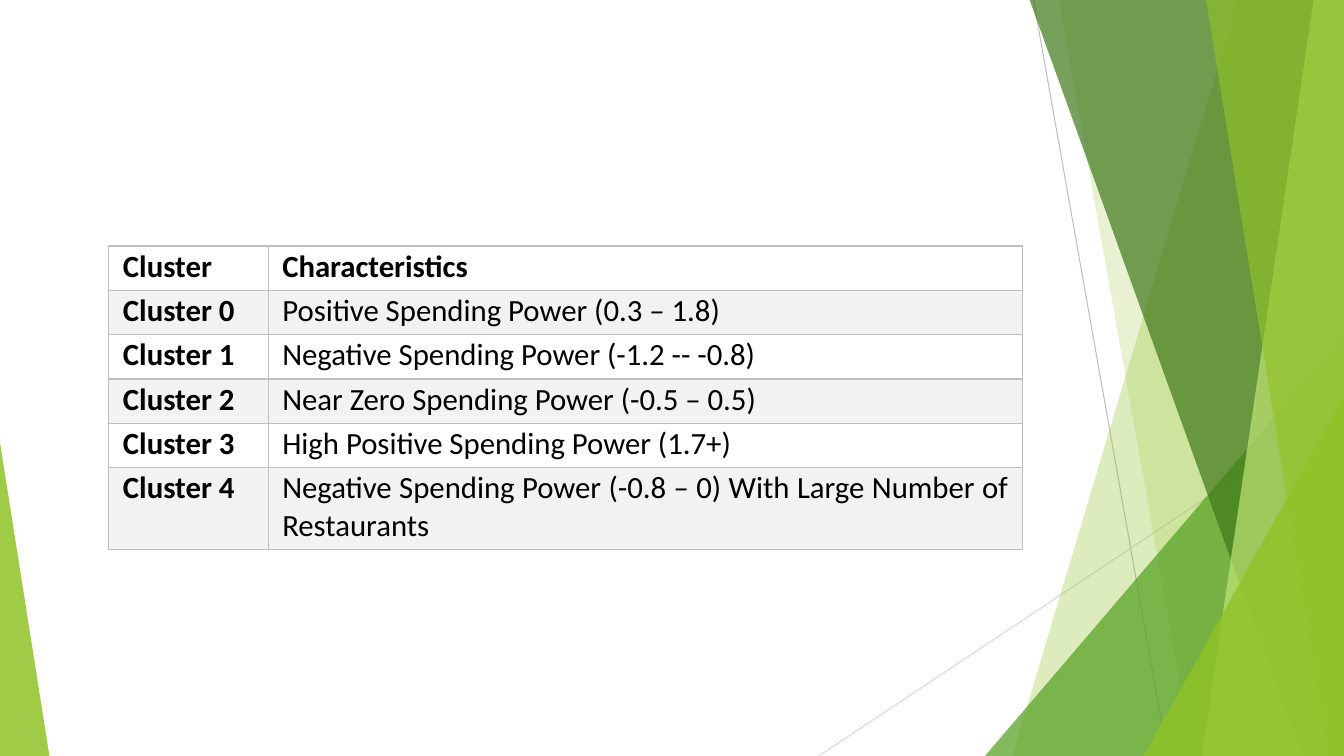
from lxml import etree
from pptx import Presentation, util as u
from pptx.dml.color import RGBColor
from pptx.enum import shapes, text
from pptx.oxml import ns

WIDTH, HEIGHT = u.Inches(13.33), u.Inches(7.5)
GREEN, GRAY, PALE_GRAY, WHITE = "90C226", "BFBFBF", "F2F2F2", "FFFFFF"
ROWS = [
    ("Cluster", "Characteristics"),
    ("Cluster 0", "Positive Spending Power (0.3 – 1.8)"),
    ("Cluster 1", "Negative Spending Power (-1.2 -- -0.8)"),
    ("Cluster 2", "Near Zero Spending Power (-0.5 – 0.5)"),
    ("Cluster 3", "High Positive Spending Power (1.7+)"),
    ("Cluster 4", "Negative Spending Power (-0.8 – 0) With Large Number of Restaurants"),
]
# Positions are percentages of the box that holds the decoration.
LINES = [((76.9, 0), (86.87, 100), GRAY), ((100, 53.73), (60.92, 100), "D9D9D9")]
# Kind, numbers, colour, opacity. A band has its left edge's top and bottom x;
# a triangle has its left, top, width and apex position.
FACETS = [
    ("band", (92.12, 75.32), GREEN, 30),
    ("band", (78.77, 88.75), GREEN, 20),
    ("triangle", (73.29, 44.4, 26.71, 1), "54A021", 72),
    ("band", (76.59, 96.85), "3F7819", 70),
    ("band", (97.75, 89.42), "C0E474", 70),
    ("band", (89.72, 98.87), GREEN, 65),
    ("triangle", (85.07, 52.4, 14.93, 1), GREEN, 80),
    ("triangle", (0, 58.53, 3.68, 0), GREEN, 85),
]


def color(hex_value):
    return RGBColor.from_string(hex_value)


def set_all(target, values):
    for name, value in values.items():
        setattr(target, name, value)


def place(box, x, y):
    """Turn percentages of a box into a point on the slide."""
    left, top, width, height = box
    return round(left + width * x / 100), round(top + height * y / 100)


def add_line(slide, box, start, end, hex_value):
    line = slide.shapes.add_connector(
        shapes.MSO_CONNECTOR.STRAIGHT, *place(box, *start), *place(box, *end))
    line.line.color.rgb = color(hex_value)
    line.line.width = u.Pt(0.75)
    etree.SubElement(line._element.spPr, ns.qn("a:effectLst"))


def add_band(slide, box, top_x, bottom_x):
    builder = slide.shapes.build_freeform(*place(box, top_x, -0.13))
    corners = [(100, -0.13), (100, 100), (bottom_x, 100)]
    builder.add_line_segments([place(box, *corner) for corner in corners])
    return builder.convert_to_shape()


def add_triangle(slide, box, left, top, width, apex):
    x, y = place(box, left, top)
    right, bottom = place(box, left + width, 100)
    shape = slide.shapes.add_shape(
        shapes.MSO_SHAPE.ISOSCELES_TRIANGLE, x, y, right - x, bottom - y)
    shape.adjustments[0] = apex
    return shape


def fill_facet(shape, hex_value, opacity):
    shape.shadow.inherit = False
    shape.line.fill.background()
    shape.fill.solid()
    shape.fill.fore_color.rgb = color(hex_value)
    tone = shape._element.spPr.find(".//" + ns.qn("a:srgbClr"))
    etree.SubElement(tone, ns.qn("a:alpha"), val=str(opacity * 1000))


def add_decoration(slide, box):
    makers = {"band": add_band, "triangle": add_triangle}
    for start, end, hex_value in LINES:
        add_line(slide, box, start, end, hex_value)
    for kind, numbers, hex_value, opacity in FACETS:
        fill_facet(makers[kind](slide, box, *numbers), hex_value, opacity)


def add_borders(cell):
    properties = cell._tc.get_or_add_tcPr()
    for position, side in enumerate(("lnL", "lnR", "lnT", "lnB")):
        border = etree.Element(ns.qn("a:" + side), w=str(u.Pt(1)))
        fill = etree.SubElement(border, ns.qn("a:solidFill"))
        etree.SubElement(fill, ns.qn("a:srgbClr"), val=GRAY)
        properties.insert(position, border)


def fill_cell(cell, words, bold, background):
    set_all(cell, {"text": words, "margin_left": u.Inches(0.14), "margin_right": u.Inches(0.14),
                   "margin_top": u.Inches(0.02), "margin_bottom": 0})
    cell.fill.solid()
    cell.fill.fore_color.rgb = color(background)
    paragraph = cell.text_frame.paragraphs[0]
    paragraph.alignment = text.PP_ALIGN.JUSTIFY
    font = paragraph.runs[0].font
    set_all(font, {"name": "Calibri", "size": u.Pt(22), "bold": bold})
    font.color.rgb = color("000000")
    add_borders(cell)


def add_cluster_table(slide, box):
    width, height = box[2:]
    table = slide.shapes.add_table(len(ROWS), 2, *box).table
    set_all(table, {"first_row": False, "horz_banding": False})
    for column, share in zip(table.columns, (0.17, 0.83)):
        column.width = round(width * share)
    table.columns[0].width = round(width * 0.1744)
    table.columns[1].width = width - table.columns[0].width
    row_shares = [1] * (len(ROWS) - 1) + [1.84]
    for row, share in zip(table.rows, row_shares):
        row.height = round(height * share / sum(row_shares))
    for i, row in enumerate(ROWS):
        for j, words in enumerate(row):
            fill_cell(table.cell(i, j), words, i == 0 or j == 0, PALE_GRAY if i % 2 else WHITE)


def main():
    presentation = Presentation()
    set_all(presentation, {"slide_width": WIDTH, "slide_height": HEIGHT})
    slide = presentation.slides.add_slide(presentation.slide_layouts[6])
    page = (0, 0, WIDTH, HEIGHT)
    add_decoration(slide, page)
    left, top = place(page, 8.1, 32.53)
    right, bottom = place(page, 76.07, 72.67)
    add_cluster_table(slide, (left, top, right - left, bottom - top))
    presentation.save("out.pptx")


if __name__ == "__main__":
    main()
